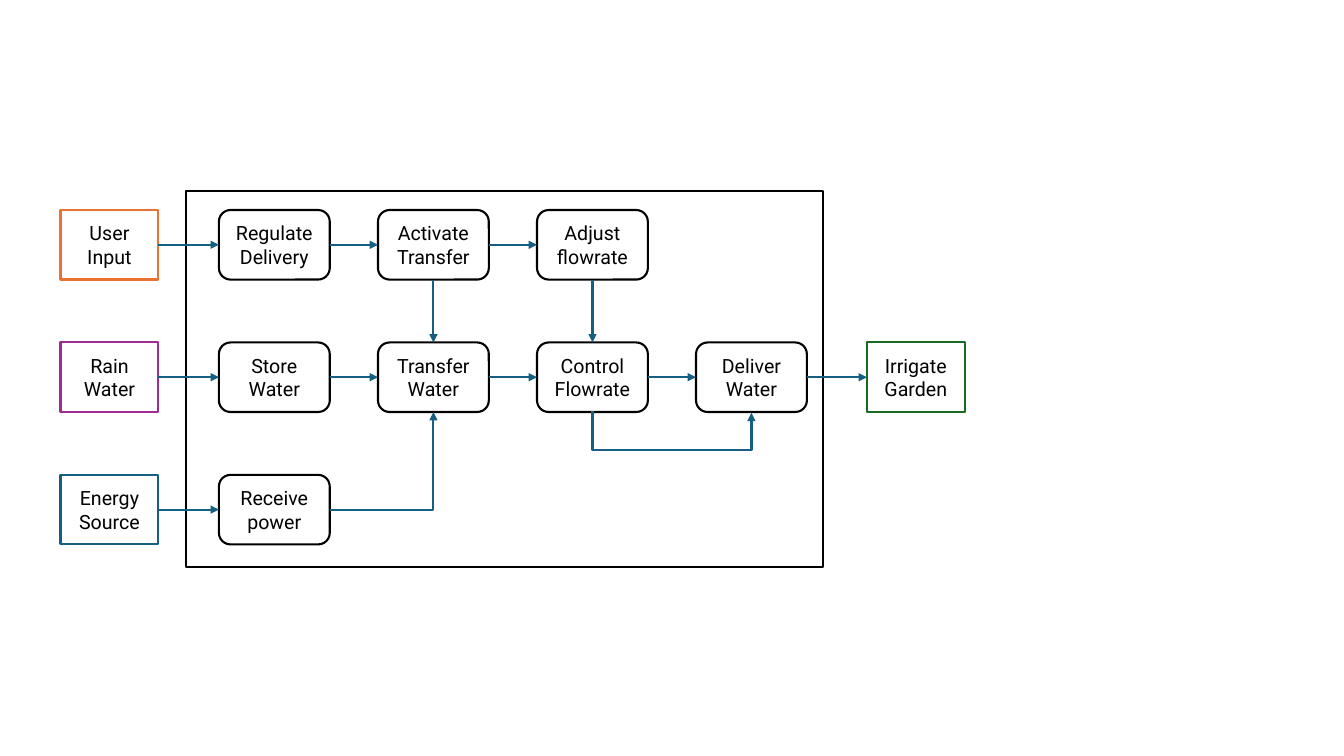
"""Builds the function diagram of a garden irrigation system."""
from dataclasses import dataclass

import pptx
import pptx.dml.color
import pptx.enum.shapes
import pptx.enum.text
import pptx.oxml
import pptx.oxml.ns
import pptx.util

Pt = pptx.util.Pt
MSO_SHAPE = pptx.enum.shapes.MSO_SHAPE
MSO_CONNECTOR = pptx.enum.shapes.MSO_CONNECTOR
qn = pptx.oxml.ns.qn
TOP, LEFT, BOTTOM, RIGHT = range(4)


@dataclass(frozen=True)
class Theme:
    font: str = "Roboto"
    size: float = 14
    line: float = 1.5
    black: str = "000000"
    white: str = "FFFFFF"
    orange: str = "E97132"
    purple: str = "A02B93"
    blue: str = "156082"
    green: str = "196B24"


THEME = Theme()
ROW_Y, ROW_STEP, BOX_H = 150, 94.6, 49.7
COL_X, COL_STEP, STEP_W = 156.4, 113.6, 79.2
INPUT_X, OUTPUT_X, END_W = 43.2, 619.2, 70
LOOP_DROP = 27.5

INPUTS = [
    ("User Input", THEME.orange),
    ("Rain Water", THEME.purple),
    ("Energy Source", THEME.blue),
]
STEPS = [
    ["Regulate Delivery", "Activate Transfer", "Adjust flowrate"],
    ["Store Water", "Transfer Water", "Control Flowrate", "Deliver Water"],
    ["Receive power"],
]


def rgb(color):
    return pptx.dml.color.RGBColor.from_string(color)


def add_box(slide, kind, x, y, w, h, color, text=""):
    sp = slide.shapes.add_shape(kind, Pt(x), Pt(y), Pt(w), Pt(h))
    sp.shadow.inherit = False
    sp.fill.solid()
    sp.fill.fore_color.rgb = rgb(THEME.white)
    sp.line.color.rgb = rgb(color)
    sp.line.width = Pt(THEME.line)
    if text:
        tf = sp.text_frame
        tf.word_wrap = True
        tf.vertical_anchor = pptx.enum.text.MSO_ANCHOR.MIDDLE
        p = tf.paragraphs[0]
        p.text = text
        p.alignment = pptx.enum.text.PP_ALIGN.CENTER
        p.font.name = THEME.font
        p.font.size = Pt(THEME.size)
        p.font.color.rgb = rgb(THEME.black)
    return sp


def add_end(slide, x, row, color, text):
    y = ROW_Y + row * ROW_STEP
    return add_box(slide, MSO_SHAPE.RECTANGLE, x, y, END_W, BOX_H, color, text)


def add_step(slide, row, col, text):
    x, y = COL_X + col * COL_STEP, ROW_Y + row * ROW_STEP
    return add_box(slide, MSO_SHAPE.ROUNDED_RECTANGLE, x, y, STEP_W, BOX_H, THEME.black, text)


def add_arrow(slide, start, start_side, end, end_side, kind=MSO_CONNECTOR.STRAIGHT):
    cxn = slide.shapes.add_connector(kind, 0, 0, 0, 0)
    cxn.begin_connect(start, start_side)
    cxn.end_connect(end, end_side)
    cxn.line.color.rgb = rgb(THEME.blue)
    cxn.line.width = Pt(THEME.line)
    ln = cxn.line._get_or_add_ln()
    ln.append(pptx.oxml.parse_xml(f'<a:tailEnd {pptx.oxml.ns.nsdecls("a")} type="triangle"/>'))
    ln.addnext(pptx.oxml.parse_xml(f'<a:effectLst {pptx.oxml.ns.nsdecls("a")}/>'))
    return cxn


def add_corner_arrow(slide, start, end):
    cxn = add_arrow(slide, start, RIGHT, end, BOTTOM, MSO_CONNECTOR.ELBOW)
    cxn._element.spPr.find(qn("a:prstGeom")).set("prst", "bentConnector2")


def add_loop_arrow(slide, start, end):
    cxn = add_arrow(slide, start, BOTTOM, end, BOTTOM, MSO_CONNECTOR.ELBOW)
    span, center_x, y = cxn.width, cxn.left + cxn.width // 2, cxn.top
    cxn.left, cxn.top = center_x - Pt(0.5), y - span // 2
    cxn.width, cxn.height = Pt(1), span
    xfrm = cxn._element.spPr.find(qn("a:xfrm"))
    xfrm.attrib.pop("flipH", None)
    xfrm.set("rot", "5400000")
    geom = cxn._element.spPr.find(qn("a:prstGeom"))
    for guides in geom.findall(qn("a:avLst")):
        geom.remove(guides)
    geom.append(pptx.oxml.parse_xml(
        f'<a:avLst {pptx.oxml.ns.nsdecls("a")}>'
        f'<a:gd name="adj1" fmla="val {int(LOOP_DROP * 100000)}"/></a:avLst>'))


def main():
    prs = pptx.Presentation()
    prs.slide_width, prs.slide_height = Pt(960), Pt(540)
    slide = prs.slides.add_slide(prs.slide_layouts[6])

    add_box(slide, MSO_SHAPE.RECTANGLE, 132.6, 136.5, 455, 268.5, THEME.black)
    inputs = [add_end(slide, INPUT_X, row, color, text)
              for row, (text, color) in enumerate(INPUTS)]
    steps = [[add_step(slide, row, col, text) for col, text in enumerate(texts)]
             for row, texts in enumerate(STEPS)]
    garden = add_end(slide, OUTPUT_X, 1, THEME.green, "Irrigate Garden")

    regulate_row, water_row, power_row = steps
    chains = [[first, *row] for first, row in zip(inputs, steps)]
    chains[1].append(garden)
    for chain in chains:
        for start, end in zip(chain, chain[1:]):
            add_arrow(slide, start, RIGHT, end, LEFT)
    for col in (1, 2):
        add_arrow(slide, regulate_row[col], BOTTOM, water_row[col], TOP)
    add_corner_arrow(slide, power_row[0], water_row[1])
    add_loop_arrow(slide, water_row[3], water_row[2])

    prs.save("out.pptx")


if __name__ == "__main__":
    main()
